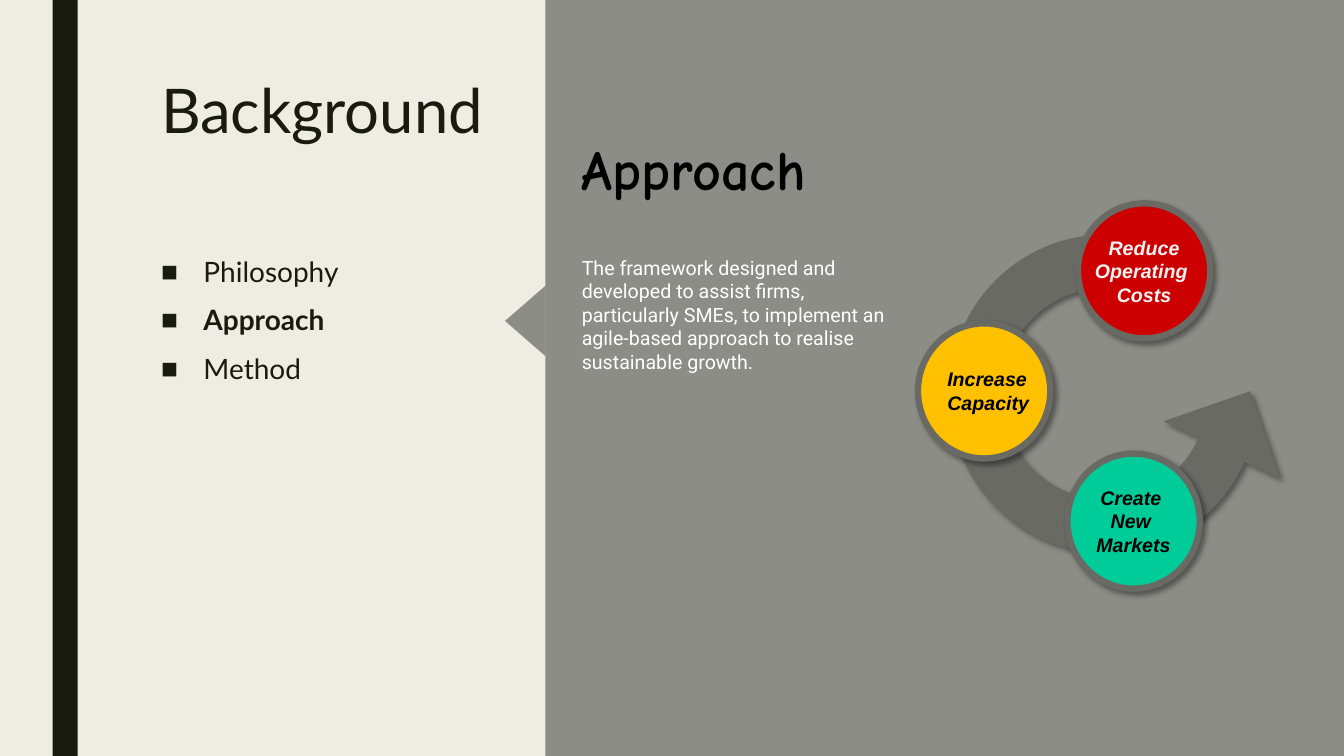
from dataclasses import dataclass

from lxml import etree
from pptx import Presentation
from pptx import util as u
from pptx.dml import color
from pptx.enum import shapes, text
from pptx.oxml import ns

Pt = u.Pt
COLOURS = {
    "cream": "EFEDE3", "ink": "191B0E", "panel": "8C8D86", "ring": "696A64",
    "red": "CC0000", "green": "00CC99", "amber": "FFC000",
    "black": "000000", "white": "FFFFFF", "pale": "F2F2F2",
}


@dataclass(frozen=True)
class Goal:
    left: float
    top: float
    fill: str
    ink: str
    lines: tuple[str, ...]
    align: text.PP_ALIGN = text.PP_ALIGN.CENTER


GOALS = (
    Goal(770, 145.25, "red", "pale", ("Reduce", "Operating ", "Costs")),
    Goal(762.5, 324, "green", "black", ("Create ", "New ", "Markets")),
    Goal(655.75, 231, "amber", "black", ("Increase ", "Capacity"), text.PP_ALIGN.LEFT),
)
GOAL_SIZE = (94.5, 96.5)

ARROW_START = (856, 313)
ARROW_STEPS = (
    ((844, 340), (818, 356.5), (789, 356.5)),
    ((748, 356.5), (715.5, 322.5), (715.5, 281)),
    ((715.5, 243.5), (743, 211), (780.5, 206.5)),
    ((776, 168.5),),
    ((720, 175.5), (678, 223.5), (678, 281)),
    ((678, 343.5), (728, 394.5), (789, 394.5)),
    ((832.5, 394.5), (871.5, 369.5), (889, 330)),
    ((914.5, 342),),
    ((893, 279.5),),
    ((831, 301),),
)


def rgb(name: str) -> color.RGBColor:
    return color.RGBColor.from_string(COLOURS[name])


def style(shape, fill: str, line: str | None = None, shadow: bool = False) -> None:
    shape.fill.solid()
    shape.fill.fore_color.rgb = rgb(fill)
    if line:
        shape.line.color.rgb = rgb(line)
        shape.line.width = Pt(4.5)
    else:
        shape.line.fill.background()
    shape.shadow.inherit = False
    if shadow:
        effects = shape._element.spPr.find(ns.qn("a:effectLst"))
        outer = etree.SubElement(
            effects, ns.qn("a:outerShdw"), blurRad=str(Pt(4)), dist=str(Pt(3)),
            dir=str(45 * 60000), algn="tl", rotWithShape="0")
        tint = etree.SubElement(outer, ns.qn("a:srgbClr"), val=COLOURS["black"])
        etree.SubElement(tint, ns.qn("a:alpha"), val="40000")


def add_preset(slide, kind, left: float, top: float, width: float, height: float,
               fill: str, line: str | None = None, shadow: bool = False):
    shape = slide.shapes.add_shape(kind, Pt(left), Pt(top), Pt(width), Pt(height))
    style(shape, fill, line, shadow)
    return shape


def add_box(slide, left: float, top: float, width: float, height: float):
    frame = slide.shapes.add_textbox(Pt(left), Pt(top), Pt(width), Pt(height)).text_frame
    frame.word_wrap = True
    return frame


def write(frame, wording: str, *, font: str, size: float, ink: str,
          bold: bool = False, italic: bool = False, align=text.PP_ALIGN.LEFT,
          spacing: float = 1.0, before: float = 0, after: float = 0,
          bullet: str | None = None) -> None:
    paragraph = frame.paragraphs[0]
    if paragraph.runs:
        paragraph = frame.add_paragraph()
    paragraph.alignment = align
    paragraph.line_spacing = spacing
    paragraph.space_before, paragraph.space_after = Pt(before), Pt(after)
    run = paragraph.add_run()
    run.text = wording
    run.font.name, run.font.size = font, Pt(size)
    run.font.bold, run.font.italic = bold, italic
    run.font.color.rgb = rgb(ink)
    if bullet:
        properties = paragraph._p.get_or_add_pPr()
        properties.set("marL", str(Pt(30.25)))
        properties.set("indent", str(-Pt(30.25)))
        etree.SubElement(properties, ns.qn("a:buFont"), typeface="Arial")
        etree.SubElement(properties, ns.qn("a:buChar"), char=bullet)


def add_arrow(slide) -> None:
    vertices = [(Pt(x), Pt(y)) for step in ARROW_STEPS for x, y in step]
    builder = slide.shapes.build_freeform(*map(Pt, ARROW_START), scale=1.0)
    builder.add_line_segments(vertices, close=True)
    arrow = builder.convert_to_shape()
    segments = iter(list(arrow._element.iter(ns.qn("a:lnTo"))))
    for step in ARROW_STEPS:
        group = [next(segments) for _ in step]
        if len(group) == 3:
            bezier = etree.Element(ns.qn("a:cubicBezTo"))
            group[0].addprevious(bezier)
            for segment in group:
                bezier.append(segment[0])
                segment.getparent().remove(segment)
    style(arrow, "ring", shadow=True)


def add_goal(slide, goal: Goal) -> None:
    circle = add_preset(slide, shapes.MSO_SHAPE.OVAL, goal.left, goal.top, *GOAL_SIZE,
                        fill=goal.fill, line="ring", shadow=True)
    frame = circle.text_frame
    frame.word_wrap = False
    frame.vertical_anchor = text.MSO_ANCHOR.MIDDLE
    for line in goal.lines:
        write(frame, line, font="Arial", size=14, ink=goal.ink,
              bold=True, italic=True, align=goal.align)


presentation = Presentation()
presentation.slide_width, presentation.slide_height = Pt(960), Pt(540)
slide = presentation.slides.add_slide(presentation.slide_layouts[6])
slide.background.fill.solid()
slide.background.fill.fore_color.rgb = rgb("cream")

add_preset(slide, shapes.MSO_SHAPE.RECTANGLE, 37.5, 0, 18, 540, "ink")
title = add_box(slide, 108, 54, 756, 117)
write(title, "Background", font="Lato", size=44, ink="ink", spacing=0.89)
topics = add_box(slide, 108, 180, 756, 282)
for topic in ("Philosophy", "Approach", "Method "):
    write(topics, topic, font="Lato", size=20, ink="ink", bold=topic == "Approach",
          spacing=0.94, before=10, after=2, bullet="■")

add_preset(slide, shapes.MSO_SHAPE.RECTANGLE, 389.5, 0, 570.5, 540, "panel")
approach = add_box(slide, 408.5, 92.5, 235, 179)
write(approach, "Approach", font="Comic Neue", size=40, ink="black", bold=True)
write(approach, "The framework designed and developed to assist firms, particularly SMEs, "
      "to implement an agile-based approach to realise sustainable growth. ",
      font="Roboto", size=14, ink="white", before=38.5)

add_arrow(slide)
for goal in GOALS:
    add_goal(slide, goal)
pointer = add_preset(slide, shapes.MSO_SHAPE.ISOSCELES_TRIANGLE, 350, 214.75, 50.5, 29, "panel")
pointer.rotation = 270

presentation.save("out.pptx")
